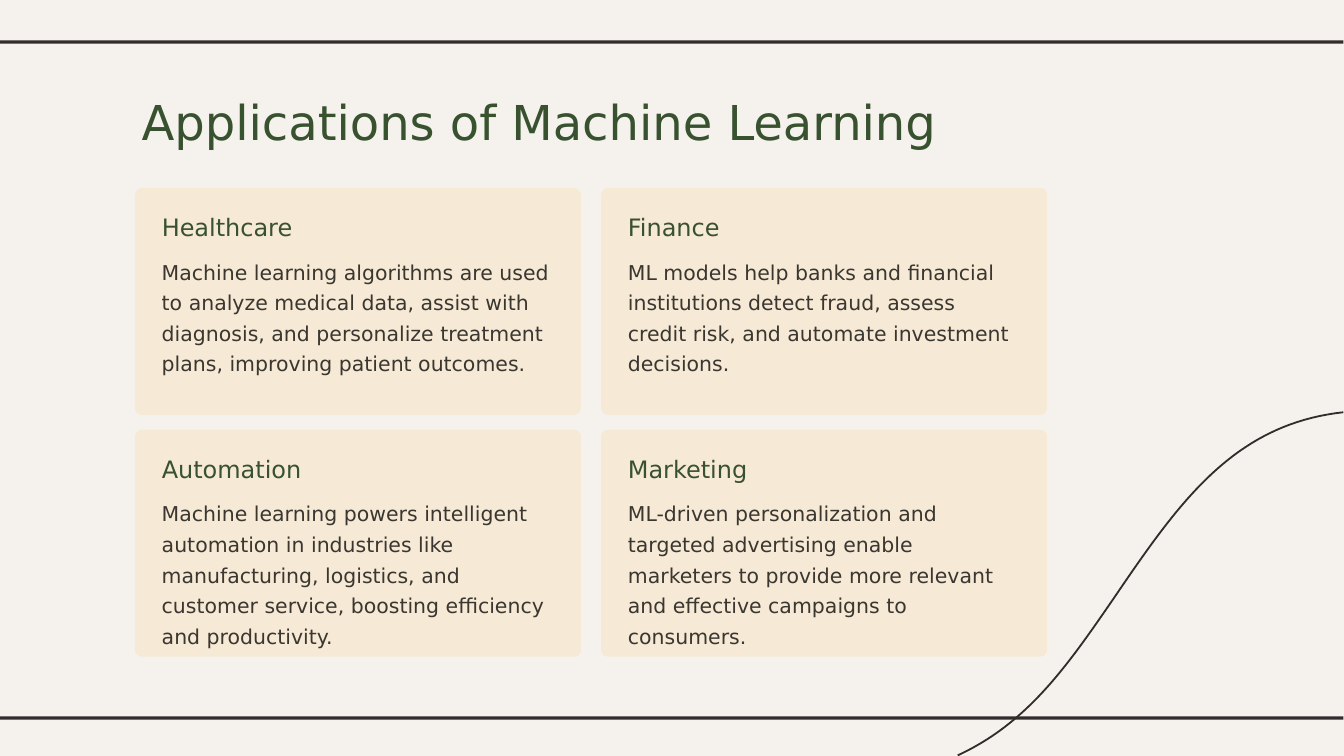
from pptx import Presentation
from pptx.dml.color import RGBColor
from pptx.enum.shapes import MSO_SHAPE
from pptx.util import Pt

PX = 9144
RECTANGLE = MSO_SHAPE.RECTANGLE
ROUNDED = MSO_SHAPE.ROUNDED_RECTANGLE

FONT = "DejaVu Sans"
PAPER, INK, GREEN, SAND, BROWN = "F5F2EE", "332C2C", "38512F", "F6E9D5", "3A3630"

CARDS = [
    ("Healthcare", "Machine learning algorithms are used to analyze medical data, assist with "
     "diagnosis, and personalize treatment plans, improving patient outcomes."),
    ("Finance", "ML models help banks and financial institutions detect fraud, assess credit "
     "risk, and automate investment decisions."),
    ("Automation", "Machine learning powers intelligent automation in industries like "
     "manufacturing, logistics, and customer service, boosting efficiency and productivity."),
    ("Marketing", "ML-driven personalization and targeted advertising enable marketers to "
     "provide more relevant and effective campaigns to consumers."),
]
CURVE_SEGMENTS = [
    [(2000, 614), (1836, 632), (1755, 749), (1659, 890)],
    [(1659, 890), (1589, 992), (1530, 1077), (1426, 1125)],
]
CURVE_STEPS = 40


def color(value):
    """Return the colour for a hex string."""
    return RGBColor.from_string(value)


def emu(*lengths):
    """Turn px lengths into EMU."""
    return [length * PX for length in lengths]


def add_block(slide, kind, box, fill):
    """Add a filled shape without outline or shadow."""
    shape = slide.shapes.add_shape(kind, *emu(*box))
    shape.shadow.inherit = False
    shape.fill.solid()
    shape.fill.fore_color.rgb = color(fill)
    shape.line.fill.background()
    return shape


def add_text(slide, box, text, size, leading, ink):
    """Add a one-paragraph text box with fixed line spacing."""
    text_frame = slide.shapes.add_textbox(*emu(*box)).text_frame
    text_frame.word_wrap = True
    text_frame.text = text
    paragraph = text_frame.paragraphs[0]
    paragraph.line_spacing = Pt(leading)
    font = paragraph.runs[0].font
    font.name, font.size = FONT, Pt(size)
    font.color.rgb = color(ink)


def bezier_point(points, t):
    """Return the point at t on a cubic Bézier curve, in whole EMU."""
    weights = ((1 - t) ** 3, 3 * t * (1 - t) ** 2, 3 * t * t * (1 - t), t ** 3)
    return tuple(round(PX * sum(w * point[axis] for w, point in zip(weights, points)))
                 for axis in (0, 1))


def add_curve(slide, segments):
    """Draw the sweeping line in the lower right corner."""
    points = [bezier_point(segment, step / CURVE_STEPS)
              for segment in segments for step in range(1, CURVE_STEPS + 1)]
    builder = slide.shapes.build_freeform(*emu(*segments[0][0]))
    builder.add_line_segments(points, close=False)
    shape = builder.convert_to_shape()
    shape.shadow.inherit = False
    shape.fill.background()
    shape.line.color.rgb = color(INK)
    shape.line.width = Pt(1.97)


def add_card(slide, box, heading, body):
    """Draw one application card with its heading and body."""
    left, top, width, height = box
    card = add_block(slide, ROUNDED, box, SAND)
    card.adjustments[0] = 0.03
    add_text(slide, (left + 30, top + 30, 358, 45), heading, 25.7, 32.2, GREEN)
    add_text(slide, (left + 30, top + 93, width - 61, 182), body, 21.9, 32.8, BROWN)


def add_card_grid(slide, box, gap_x, gap_y):
    """Lay the cards out in two columns and two rows."""
    left, top, width, height = box
    card_width, card_height = (width - gap_x) // 2, (height - gap_y) // 2
    for index, (heading, body) in enumerate(CARDS):
        row, column = divmod(index, 2)
        card_box = (left + column * (card_width + gap_x), top + row * (card_height + gap_y),
                    card_width, card_height)
        add_card(slide, card_box, heading, body)


def add_applications_slide(presentation):
    """Build the slide on applications of machine learning."""
    slide = presentation.slides.add_slide(presentation.slide_layouts[6])
    slide.background.fill.solid()
    slide.background.fill.fore_color.rgb = color(PAPER)
    add_curve(slide, CURVE_SEGMENTS)
    for top in (60, 1067):
        add_block(slide, RECTANGLE, (0, top, 2000, 5), INK)
    add_text(slide, (201, 129, 1260, 89), "Applications of Machine Learning", 51.5, 64.4, GREEN)
    add_card_grid(slide, (201, 280, 1358, 698), gap_x=30, gap_y=22)


def main():
    """Create and save the presentation."""
    presentation = Presentation()
    presentation.slide_width, presentation.slide_height = emu(2001, 1126)
    add_applications_slide(presentation)
    presentation.save("out.pptx")


if __name__ == "__main__":
    main()
